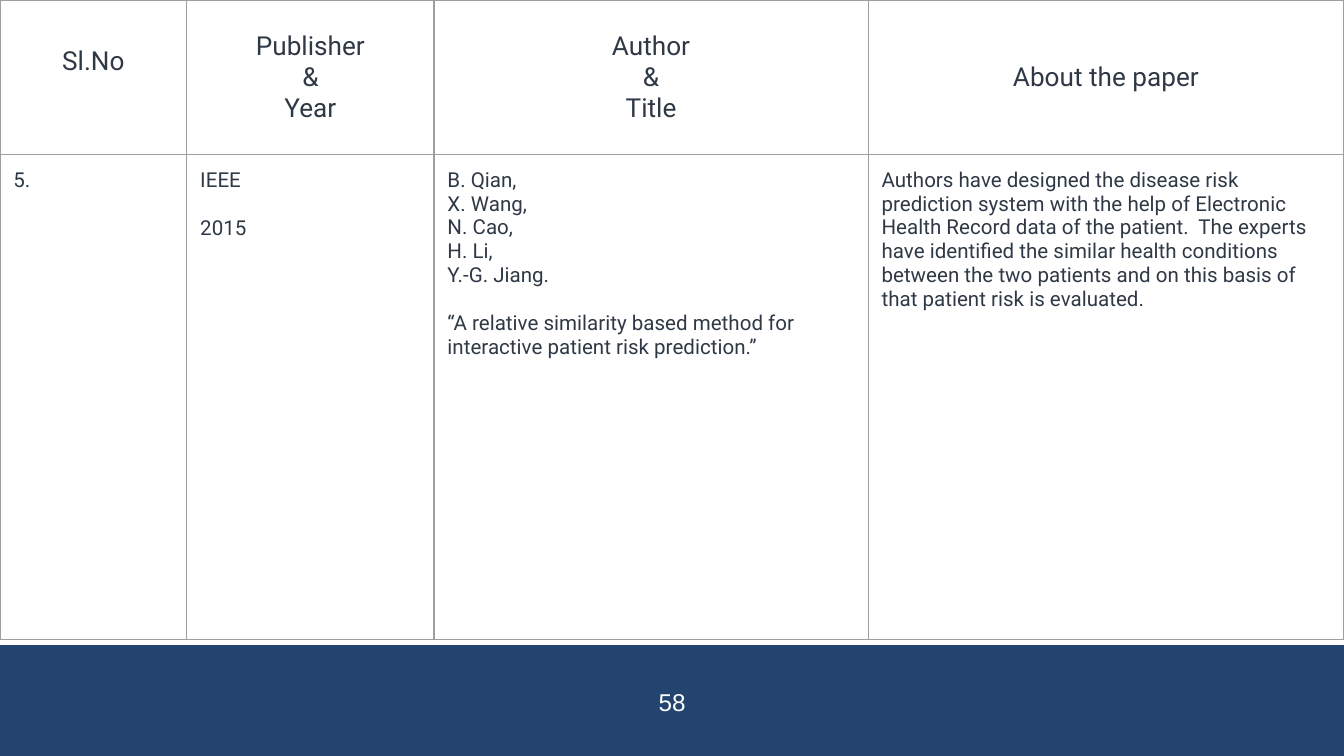
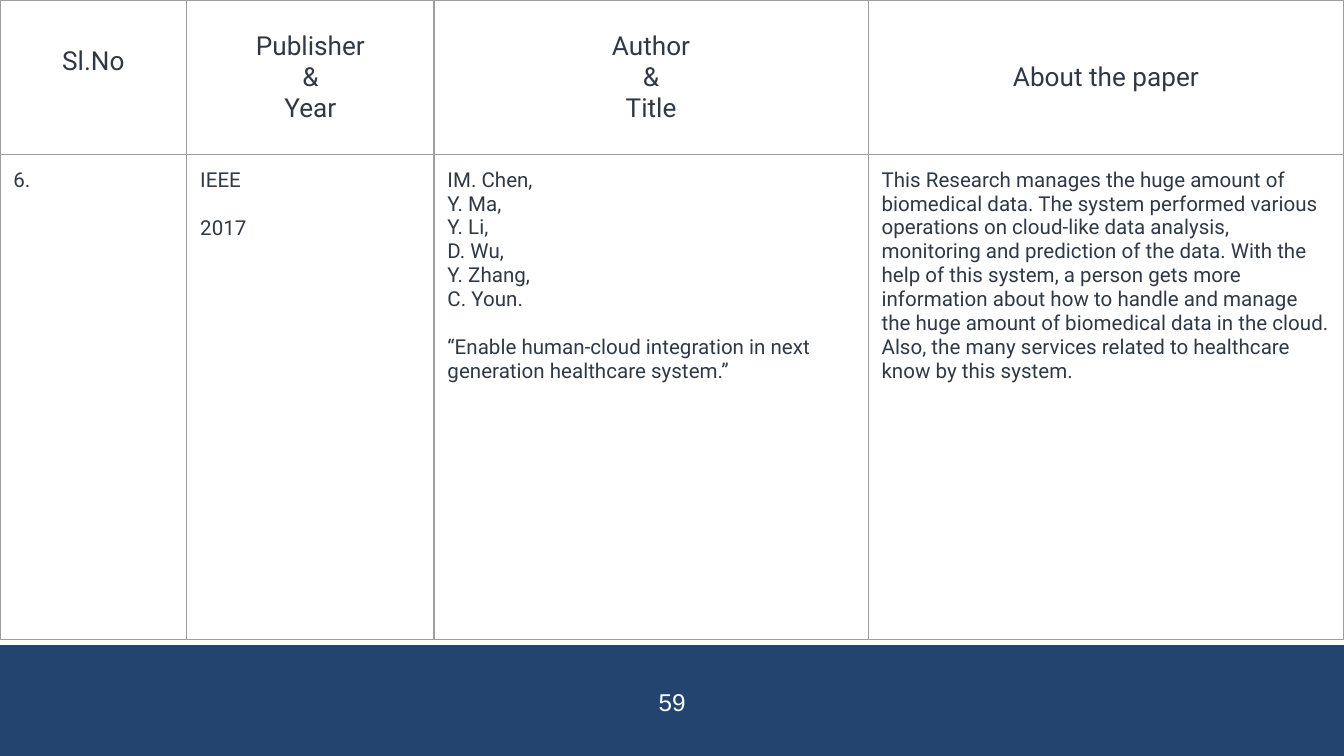
from lxml.etree import SubElement
from pptx import Presentation
from pptx.dml.color import RGBColor
from pptx.enum.shapes import MSO_SHAPE
from pptx.enum.text import MSO_ANCHOR as Anchor, PP_ALIGN as Align
from pptx.oxml.ns import qn
from pptx.util import Inches, Pt

WIDTH = Inches(10)
HEIGHT = WIDTH * 9 // 16
BAND_TOP = Inches(4.8)
COLUMNS = [1.39, 1.84, 3.23, 3.54]
ROWS = [1.15, 3.61]
MARGIN = 0.1
NAVY, WHITE, INK, GREY = "22446F", "FFFFFF", "2F3946", "9E9E9E"
BODY_LINE = Pt(12.9)

HEADINGS = [
    [["Sl.No"]],
    [["Publisher", "&", "Year"]],
    [["Author", "&", "Title"]],
    [["About the paper"]],
]

PAPERS = [
    {
        "page": "58",
        "cells": [
            [["5."]],
            [["IEEE"], ["2015"]],
            [["B. Qian,", "X. Wang,", "N. Cao,", "H. Li,", "Y.-G. Jiang."],
             ["“A relative similarity based method for interactive patient "
              "risk prediction.”"]],
            [["Authors have designed the disease risk prediction system with "
              "the help of Electronic Health Record data of the patient.  The "
              "experts have identified the similar health conditions between "
              "the two patients and on this basis of that patient risk is "
              "evaluated."]],
        ],
    },
    {
        "page": "59",
        "cells": [
            [["6."]],
            [["IEEE"], ["2017"]],
            [["IM. Chen,", "Y. Ma,", "Y. Li,", "D. Wu,", "Y. Zhang,", "C. Youn."],
             ["“Enable human-cloud integration in next generation healthcare "
              "system.”"]],
            [["This Research manages the huge amount of biomedical data. The "
              "system performed various operations on cloud-like data "
              "analysis, monitoring and prediction of the data. With the help "
              "of this system, a person gets more information about how to "
              "handle and manage the huge amount of biomedical data in the "
              "cloud. Also, the many services related to healthcare know by "
              "this system."]],
        ],
    },
]


def color(value):
    return RGBColor.from_string(value)


def add_run(paragraph, text, size, font, ink):
    run = paragraph.add_run()
    run.text = text
    run.font.size = Pt(size)
    run.font.name = font
    run.font.color.rgb = color(ink)


def set_margins(box, inches):
    box.margin_left = box.margin_right = Inches(inches)
    box.margin_top = box.margin_bottom = Inches(inches)


def write_groups(frame, groups, size, align):
    paragraph = frame.paragraphs[0]
    for group_index, group in enumerate(groups):
        for line_index, line in enumerate(group):
            if group_index or line_index:
                paragraph = frame.add_paragraph()
            if group_index and not line_index:
                paragraph.space_before = BODY_LINE
            paragraph.alignment = align
            add_run(paragraph, line, size, "Roboto", INK)


def outline_cell(cell):
    properties = cell._tc.get_or_add_tcPr()
    for side in ("a:lnL", "a:lnR", "a:lnT", "a:lnB"):
        line = SubElement(properties, qn(side), w=str(Pt(0.75)))
        fill = SubElement(line, qn("a:solidFill"))
        SubElement(fill, qn("a:srgbClr"), val=GREY)


def fill_cell(cell, groups, size, align, anchor):
    set_margins(cell, MARGIN)
    cell.vertical_anchor = anchor
    outline_cell(cell)
    cell.fill.background()
    write_groups(cell.text_frame, groups, size, align)


def add_paper_table(slide, cells):
    table = slide.shapes.add_table(
        len(ROWS), len(COLUMNS), 0, 0, WIDTH, Inches(sum(ROWS))).table
    table.first_row = table.horz_banding = False
    for column, width in zip(table.columns, COLUMNS):
        column.width = Inches(width)
    for row, height in zip(table.rows, ROWS):
        row.height = Inches(height)
    for index, (heading, groups) in enumerate(zip(HEADINGS, cells)):
        fill_cell(table.cell(0, index), heading, 14, Align.CENTER, Anchor.MIDDLE)
        fill_cell(table.cell(1, index), groups, 11, Align.LEFT, Anchor.TOP)
    table.cell(0, 0).margin_bottom = Inches(MARGIN + 0.23)


def add_footer(slide, page):
    band = slide.shapes.add_shape(
        MSO_SHAPE.RECTANGLE, 0, BAND_TOP, WIDTH, HEIGHT - BAND_TOP)
    band.shadow.inherit = False
    band.fill.solid()
    band.fill.fore_color.rgb = color(NAVY)
    band.line.fill.background()

    width = Inches(1.42)
    number = slide.shapes.add_textbox(
        (WIDTH - width) // 2, Inches(4.94), width, Inches(0.56))
    frame = number.text_frame
    frame.word_wrap = True
    frame.vertical_anchor = Anchor.MIDDLE
    set_margins(frame, 0)
    paragraph = frame.paragraphs[0]
    paragraph.alignment = Align.CENTER
    add_run(paragraph, page, 13, "Arial", WHITE)


def main():
    presentation = Presentation()
    presentation.slide_width = WIDTH
    presentation.slide_height = HEIGHT
    blank = presentation.slide_layouts[6]
    for paper in PAPERS:
        slide = presentation.slides.add_slide(blank)
        add_footer(slide, paper["page"])
        add_paper_table(slide, paper["cells"])
    presentation.save("out.pptx")


if __name__ == "__main__":
    main()
